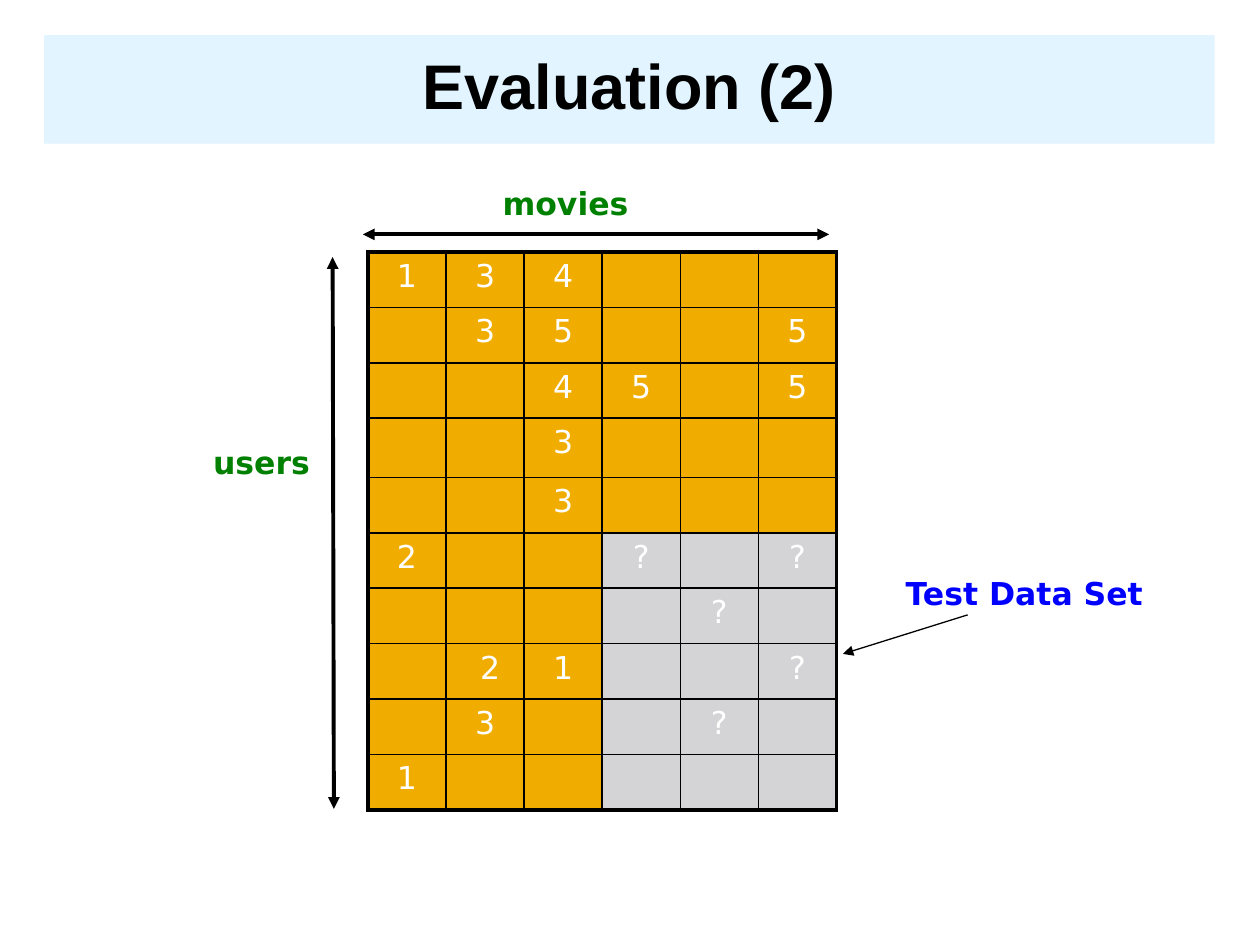
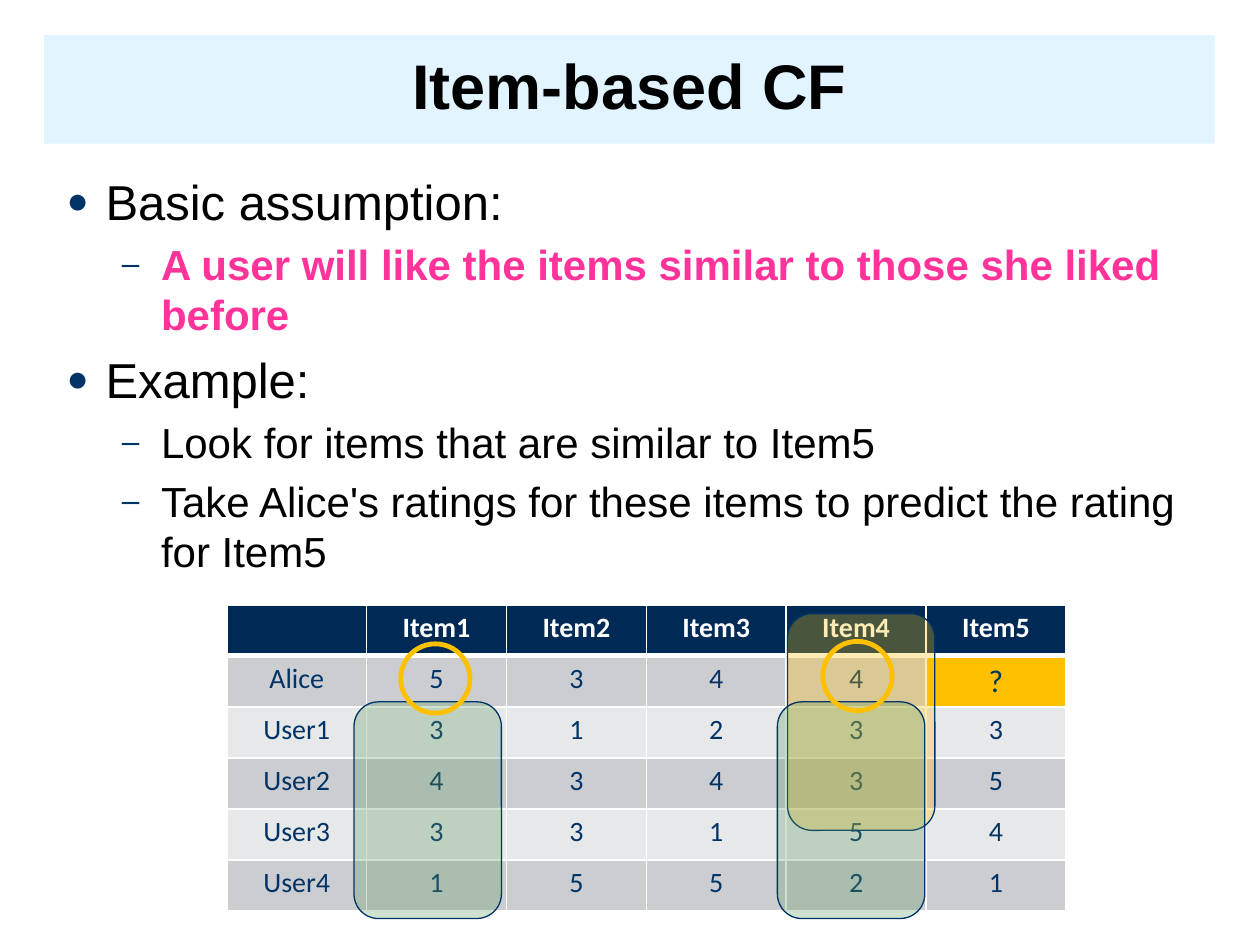
from lxml import etree
from pptx import Presentation
from pptx.dml.color import RGBColor
from pptx.enum import shapes, text
from pptx.oxml import ns
from pptx.util import Inches, Pt

BLACK = RGBColor(0x00, 0x00, 0x00)
WHITE = RGBColor(0xFF, 0xFF, 0xFF)
BAND = RGBColor(0xE1, 0xF4, 0xFF)
NAVY = RGBColor(0x00, 0x33, 0x66)
HEADER = RGBColor(0x00, 0x2A, 0x56)
ORANGE = RGBColor(0xF0, 0xAD, 0x00)
SILVER = RGBColor(0xD4, 0xD4, 0xD6)
GREEN = RGBColor(0x00, 0x80, 0x00)
BLUE = RGBColor(0x00, 0x00, 0xFF)
PINK = RGBColor(0xFF, 0x33, 0x99)
GOLD = RGBColor(0xFF, 0xC0, 0x00)
SAGE = RGBColor(0x5B, 0x98, 0x5B)
STRIPES = (RGBColor(0xE7, 0xE8, 0xE9), RGBColor(0xCC, 0xCD, 0xD1))

CENTER = text.PP_ALIGN.CENTER
SHAPE = shapes.MSO_SHAPE


def add_xml(parent, tag, **attributes):
    return etree.SubElement(parent, ns.qn(tag), attributes)


def write(paragraph, words, font="Arial", size=18, color=BLACK, bold=False,
          align=None, before=0, line_spacing=None):
    paragraph.alignment = align
    paragraph.space_before = Pt(before)
    paragraph.line_spacing = line_spacing
    run = paragraph.add_run()
    run.text = words
    run.font.name = font
    run.font.size = Pt(size)
    run.font.bold = bold
    run.font.color.rgb = color


class Deck:
    def __init__(self):
        self.presentation = Presentation()
        self.presentation.slide_width = Inches(10)
        self.presentation.slide_height = Inches(7.5)
        self.slide = None

    def start(self, title):
        self.slide = self.presentation.slides.add_slide(
            self.presentation.slide_layouts[6])
        band = self.shape(SHAPE.RECTANGLE, 0.35, 0.28, 9.29, 0.86, fill=BAND)
        band.text_frame.word_wrap = True
        band.text_frame.vertical_anchor = text.MSO_ANCHOR.MIDDLE
        write(band.text_frame.paragraphs[0], title, size=36, bold=True,
              align=CENTER, line_spacing=0.9)

    def shape(self, kind, left, top, width, height, fill=None, opacity=None,
              line=None, line_width=0.75):
        shape = self.slide.shapes.add_shape(
            kind, Inches(left), Inches(top), Inches(width), Inches(height))
        shape.shadow.inherit = False
        if fill is None:
            shape.fill.background()
        else:
            shape.fill.solid()
            shape.fill.fore_color.rgb = fill
        if opacity is not None:
            tint = shape.fill._xPr.find(".//" + ns.qn("a:srgbClr"))
            add_xml(tint, "a:alpha", val=str(opacity * 1000))
        if line is None:
            shape.line.fill.background()
        else:
            shape.line.color.rgb = line
            shape.line.width = Pt(line_width)
        return shape

    def text_box(self, left, top, width, height, wrap=True):
        box = self.slide.shapes.add_textbox(
            Inches(left), Inches(top), Inches(width), Inches(height))
        box.text_frame.word_wrap = wrap
        return box.text_frame

    def label(self, words, left, top, width, color, align=None, wrap=False):
        frame = self.text_box(left, top, width, 0.4, wrap)
        write(frame.paragraphs[0], words, font="DejaVu Sans", color=color,
              bold=True, align=align)

    def bullets(self, items, left, top, width, height):
        frame = self.text_box(left, top, width, height)
        for index, (level, words, style) in enumerate(items):
            paragraph = frame.add_paragraph() if index else frame.paragraphs[0]
            size = (28, 24)[level]
            write(paragraph, words, size=size, before=size * 0.2, **style)
            paragraph.level = level
            properties = paragraph._p.get_or_add_pPr()
            properties.set("marL", str(Inches((0.31, 0.75)[level])))
            properties.set("indent", str(Inches(-0.31)))
            add_xml(add_xml(properties, "a:buClr"), "a:srgbClr", val=str(NAVY))
            add_xml(properties, "a:buSzPct", val="75000")
            add_xml(properties, "a:buFont", typeface="Arial")
            add_xml(properties, "a:buChar", char="●–"[level])

    def arrow(self, start, end, width=0.75, both=False):
        arrow = self.slide.shapes.add_connector(
            shapes.MSO_CONNECTOR.STRAIGHT, *map(Inches, start + end))
        arrow.line.color.rgb = BLACK
        arrow.line.width = Pt(width)
        line = arrow.line._get_or_add_ln()
        if both:
            add_xml(line, "a:headEnd", type="triangle")
        add_xml(line, "a:tailEnd", type="triangle")
        add_xml(arrow._element.spPr, "a:effectLst")

    def table(self, rows, left, top, column_width, row_heights, style,
              border, row_lines, column_lines):
        columns = len(rows[0])
        table = self.slide.shapes.add_table(
            len(rows), columns, Inches(left), Inches(top),
            Inches(column_width * columns), Inches(sum(row_heights))).table
        table.horz_banding = False
        for column in table.columns:
            column.width = Inches(column_width)
        for r, values in enumerate(rows):
            table.rows[r].height = Inches(row_heights[r])
            for c, value in enumerate(values):
                cell = table.cell(r, c)
                widths = {"L": column_lines[c], "R": column_lines[c + 1],
                          "T": row_lines[r], "B": row_lines[r + 1]}
                for side, width in widths.items():
                    edge = add_xml(cell._tc.get_or_add_tcPr(), "a:ln" + side,
                                   w=str(Pt(width)))
                    add_xml(add_xml(edge, "a:solidFill"), "a:srgbClr",
                            val=str(border))
                fill, font = style(r, c)
                cell.fill.solid()
                cell.fill.fore_color.rgb = fill
                if value:
                    write(cell.text_frame.paragraphs[0], value, align=CENTER,
                          **font)


def rating_style(row, column):
    in_test_set = row >= 5 and column >= 3
    return (SILVER if in_test_set else ORANGE,
            dict(font="DejaVu Sans", color=WHITE, before=3.6))


def item_style(row, column):
    if row == 0:
        return HEADER, dict(font="Calibri", size=16, color=WHITE, bold=True)
    if (row, column) == (1, 5):
        return GOLD, dict(font="Calibri", size=18, color=NAVY)
    return STRIPES[row % 2], dict(font="Calibri", size=16, color=NAVY)


def evaluation(deck):
    deck.start("Evaluation (2)")
    ratings = [
        ["1", "3", "4", "", "", ""],
        ["", "3", "5", "", "", "5"],
        ["", "", "4", "5", "", "5"],
        ["", "", "3", "", "", ""],
        ["", "", "3", "", "", ""],
        ["2", "", "", "?", "", "?"],
        ["", "", "", "", "?", ""],
        ["", " 2", "1", "", "", "?"],
        ["", "3", "", "", "?", ""],
        ["1", "", "", "", "", ""],
    ]
    deck.table(ratings, 2.92, 2, 0.62, [0.44] * 3 + [0.47] + [0.44] * 6,
               rating_style, BLACK, [2.25] + [1] * 9 + [2.25],
               [2.25] + [1] * 5 + [2.25])
    deck.label("Test Data Set", 7.09, 4.51, 2.1, BLUE)
    deck.label("users", 1.1, 3.47, 1.95, GREEN, align=CENTER, wrap=True)
    deck.label("movies", 3.89, 1.41, 1.21, GREEN)
    deck.arrow((2.64, 2.04), (2.65, 6.42), width=2.25, both=True)
    deck.arrow((2.88, 1.86), (6.58, 1.86), width=2.25, both=True)
    deck.arrow((7.68, 4.88), (6.69, 5.19))


def item_based(deck):
    deck.start("Item-based CF")
    deck.bullets([
        (0, "Basic assumption:", {}),
        (1, "A user will like the items similar to those she liked before",
         dict(color=PINK, bold=True)),
        (0, "Example:", {}),
        (1, "Look for items that are similar to Item5", {}),
        (1, "Take Alice's ratings for these items to predict the rating "
            "for Item5", {}),
    ], 0.43, 1.31, 9.14, 5.43)
    items = [
        ["", "Item1", "Item2", "Item3", "Item4", "Item5"],
        ["Alice", "5", "3", "4", "4", "?"],
        ["User1", "3", "1", "2", "3", "3"],
        ["User2", "4", "3", "4", "3", "5"],
        ["User3", "3", "3", "1", "5", "4"],
        ["User4", "1", "5", "5", "2", "1"],
    ]
    deck.table(items, 1.8, 4.8, 1.11, [0.405] * 6, item_style, WHITE,
               [1, 3] + [1] * 5, [1] * 7)
    for left, top, color in ((6.25, 4.87, GOLD), (2.81, 5.57, SAGE),
                             (6.17, 5.57, SAGE)):
        deck.shape(SHAPE.ROUNDED_RECTANGLE, left, top, 1.17, 1.72, fill=color,
                   opacity=29, line=NAVY)
    for left, top in ((3.18, 5.11), (6.53, 5.09)):
        deck.shape(SHAPE.OVAL, left, top, 0.55, 0.55, line=GOLD,
                   line_width=2.75)


def main():
    deck = Deck()
    evaluation(deck)
    item_based(deck)
    deck.presentation.save("out.pptx")


if __name__ == "__main__":
    main()
